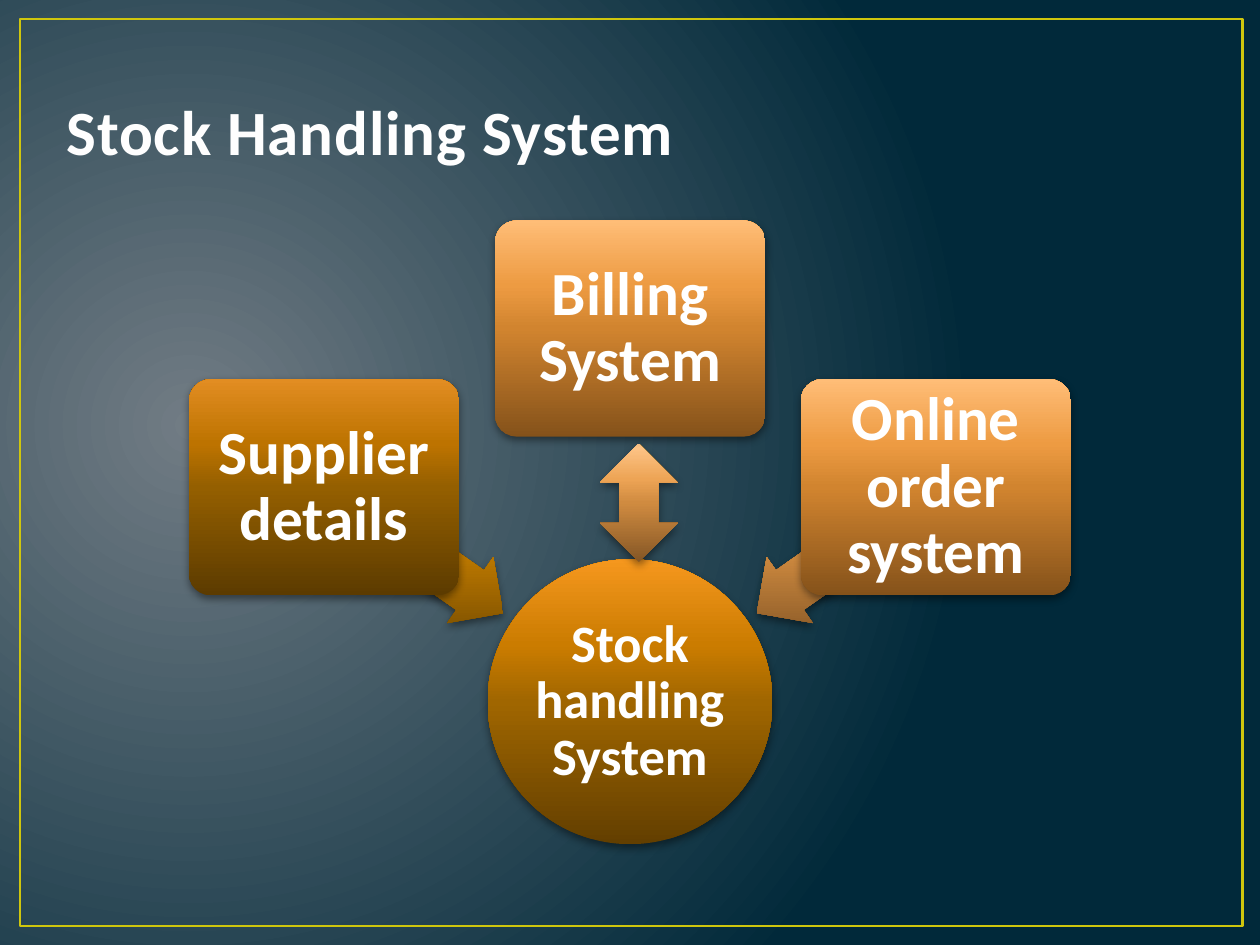
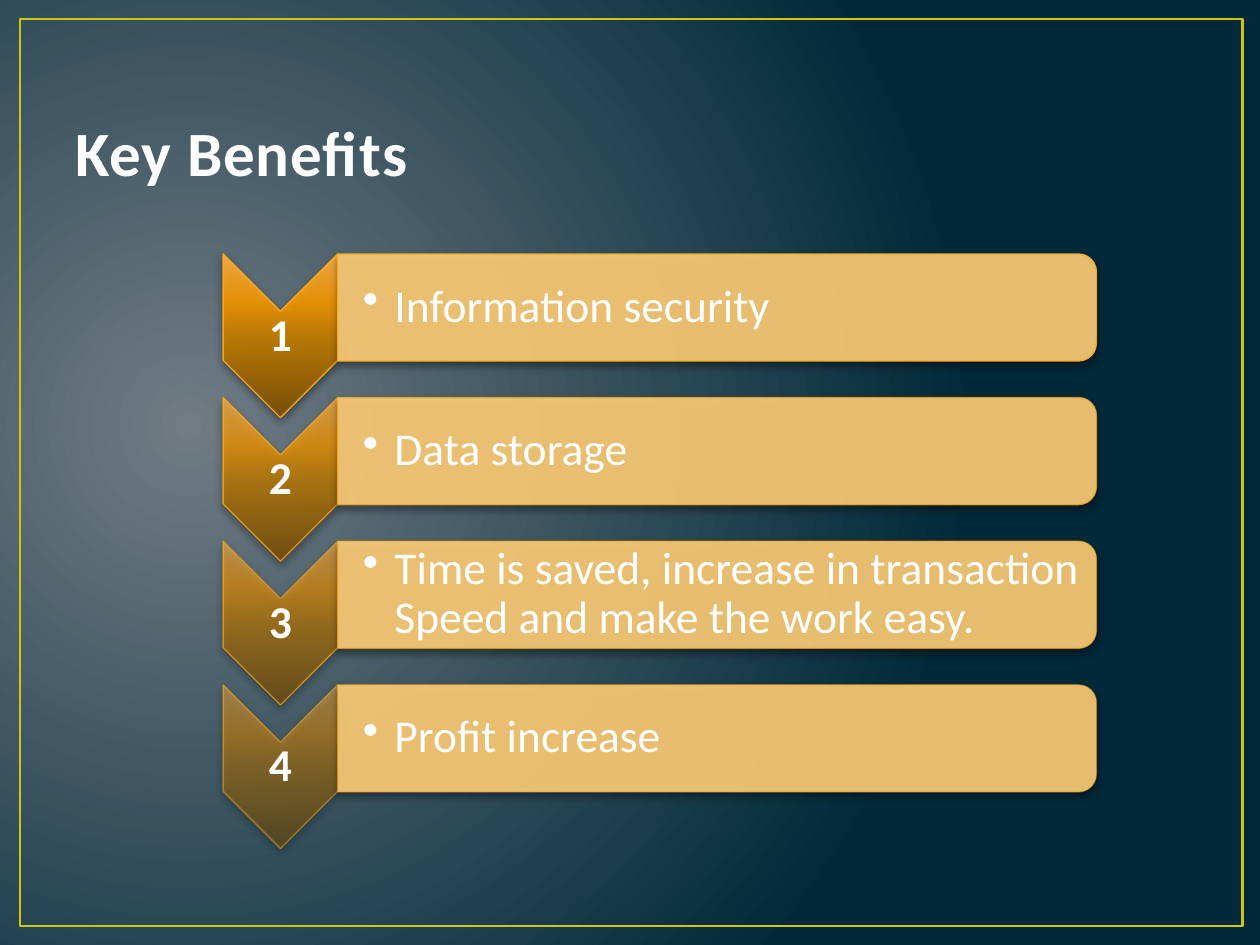
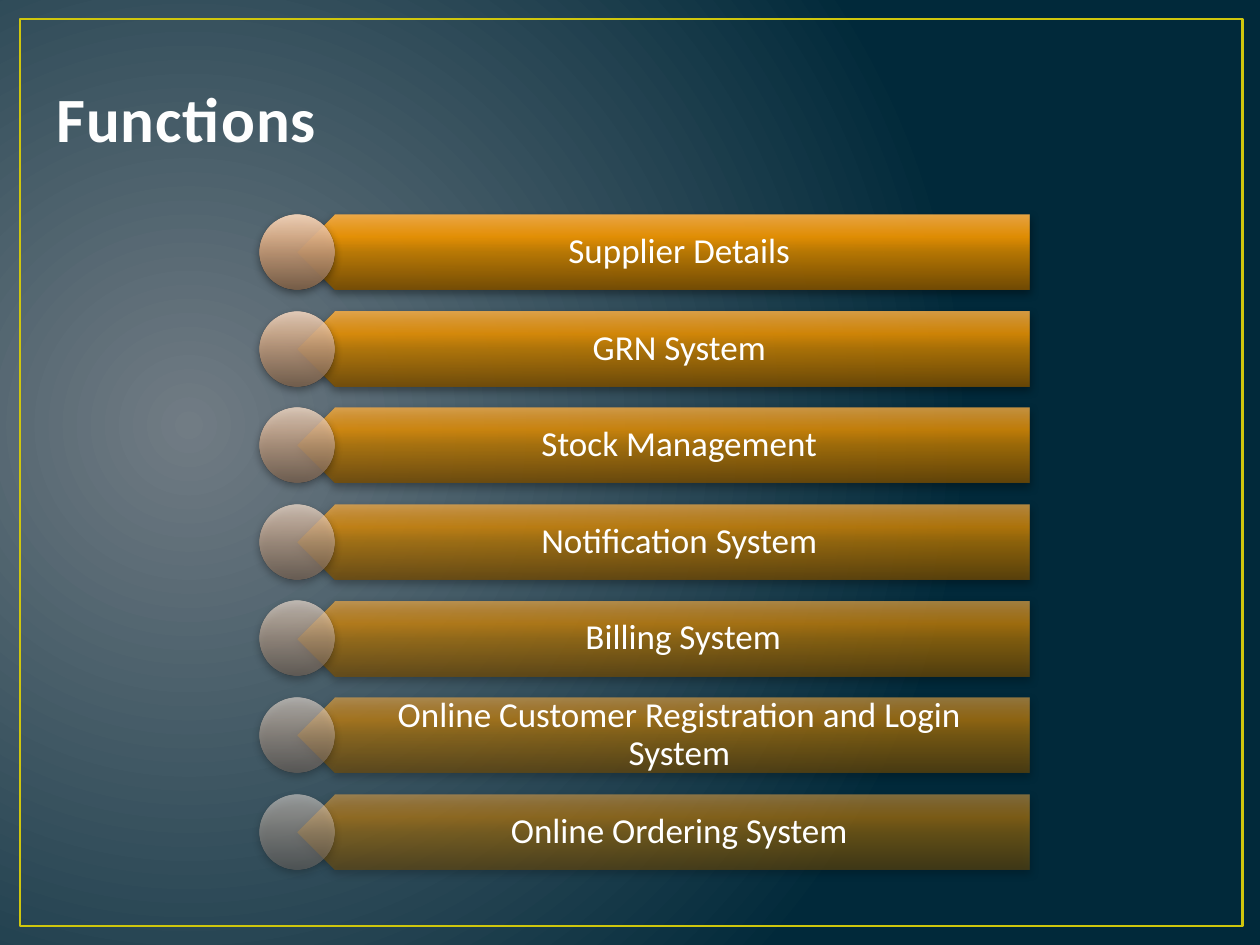
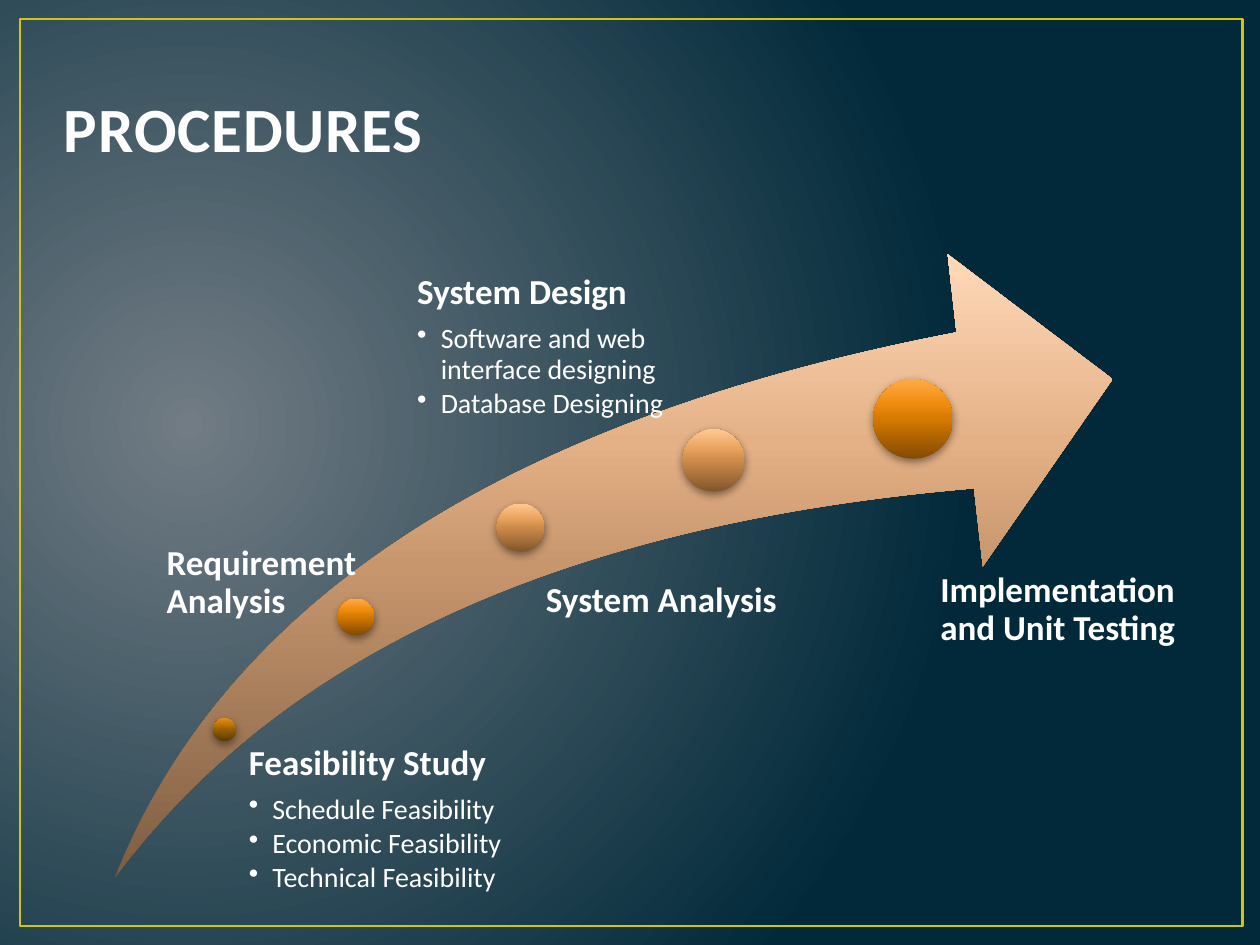
from lxml import etree
from pptx import Presentation
from pptx.dml.color import RGBColor
from pptx.enum import shapes, text
from pptx.oxml import ns
from pptx.util import Pt

FONT = "Calibri"
WHITE = RGBColor(0xFF, 0xFF, 0xFF)
TITLE_WHITE = RGBColor(0xFE, 0xFE, 0xFE)
FRAME_YELLOW = RGBColor(0xCF, 0xC6, 0x0D)
BAR_SAND = RGBColor(0xFF, 0xCE, 0x77)
EDGE_ORANGE = RGBColor(0xFF, 0xAD, 0x1C)
BLACK = RGBColor(0, 0, 0)


def palette(*codes):
    return [RGBColor.from_string(code) for code in codes]


NIGHT = palette("717C84", "01293A")
AMBER = palette("633F00", "A06600", "CB7C00", "F5971E")
BROWN = palette("5C3B00", "945F00", "BD7300", "E28D22")
COPPER = palette("85521A", "D1842F", "ED9B42", "FFBD77")
AMBER_ARROW = palette("764C00", "BF7A00", "ED9200", "FFAC3B")
COPPER_ARROW = palette("845625", "D08B40", "EDA455", "FFC78C")
ORANGE = palette("7C4F00", "C88000", "F79900", "FFB246")
FIRST_BEAD = palette("7B5F47", "C49975", "E2B58F", "FFDDC1")
LAST_BEAD = palette("746962", "BAAA9E", "D9C8BB", "FFF2E9")
SWOOSH = palette("7D5D42", "C7966D", "E4B186", "FFD9B9")
BRIGHT_DOT = palette("844B00", "D57900", "F08D0F", "FFAA48")
PALE_DOT = palette("81562B", "CD8B49", "E9A45F", "FFC892")

TITLES = [
    ("Stock Handling System", 31, 9.4),
    ("Key Benefits", 36, 21.6),
    ("Functions", 25.2, 2.2),
    ("PROCEDURES", 29.5, 7.9),
]

ARROWS = shapes.MSO_SHAPE
SYSTEM_NODES = [
    ("Supplier details", (108, 216.7), BROWN,
     ARROWS.LEFT_ARROW, (174.2, 291.6, 124.6, 46.1), 215, (0.6, 0.5), AMBER_ARROW),
    ("Billing System", (282.9, 126), COPPER,
     ARROWS.LEFT_RIGHT_ARROW, (331.2, 265, 67.7, 44.6), 270, (0.5, 0.5), COPPER_ARROW),
    ("Online order system", (457.6, 216.7), COPPER,
     ARROWS.LEFT_ARROW, (421.2, 291.6, 124.6, 46.1), 325, (0.6, 0.5), COPPER_ARROW),
]

BENEFITS = [
    "Information security",
    "Data storage",
    "Time is saved, increase in transaction Speed and make the work easy.",
    "Profit increase",
]

FUNCTIONS = [
    "Supplier Details",
    "GRN System",
    "Stock Management",
    "Notification System",
    " Billing System",
    "Online Customer Registration and Login System",
    "Online Ordering System",
]

STAGES = [
    ("Feasibility Study",
     ["Schedule Feasibility", "Economic Feasibility", "Technical Feasibility"],
     (121.7, 410.4, 13), BROWN, (135.2, 425.6, 186, 34.6), 7),
    ("Requirement Analysis", [],
     (193, 342, 20.9), BRIGHT_DOT, (84.2, 311.8, 144, 41.8), 11),
    ("System Analysis", [],
     (283.7, 287.8, 27.4), PALE_DOT, (297.4, 332.6, 188.6, 26.6), 14.5),
    ("System Design",
     ["Software and web interface designing", "Database Designing"],
     (390, 245.3, 35.6), PALE_DOT, (219.6, 157, 180.7, 113), 18.8),
    ("Implementation and Unit Testing", [],
     (499, 216.7, 45.4), BRIGHT_DOT, (513.4, 326.9, 185.8, 105.1), 23.9),
]


def add_xml(parent, tag, **attributes):
    element = etree.SubElement(parent, ns.qn(tag))
    for name, value in attributes.items():
        element.set(name, str(value))
    return element


def add_color(parent, color, opacity=100):
    element = add_xml(parent, "a:srgbClr", val=color)
    if opacity < 100:
        add_xml(element, "a:alpha", val=round(opacity * 1000))


def fill_stops(gradient, positions, colors, opacity=100):
    for child in list(gradient):
        gradient.remove(child)
    gradient.set("rotWithShape", "0")
    stops = add_xml(gradient, "a:gsLst")
    for position, color in zip(positions, colors):
        add_color(add_xml(stops, "a:gs", pos=position * 1000), color, opacity)


def fill_gloss(shape, colors, opacity=100):
    shape.fill.gradient()
    gradient = shape.element.spPr.find(ns.qn("a:gradFill"))
    fill_stops(gradient, (0, 50, 70, 100), colors, opacity)
    add_xml(gradient, "a:lin", ang=270 * 60000, scaled=0)


def set_opacity(properties, opacity):
    color = properties.find(ns.qn("a:solidFill")).find(ns.qn("a:srgbClr"))
    add_xml(color, "a:alpha", val=round(opacity * 1000))


def set_edge(shape, opacity):
    shape.line.color.rgb = EDGE_ORANGE
    shape.line.width = Pt(0.75)
    set_opacity(shape.element.spPr.find(ns.qn("a:ln")), opacity)


def add_shape(slide, kind, box, colors=None, opacity=100, rotation=0, adjustments=(), shadow=True):
    shape = slide.shapes.add_shape(kind, *map(Pt, box))
    shape.rotation = rotation
    for index, value in enumerate(adjustments):
        shape.adjustments[index] = value
    shape.line.fill.background()
    shape.shadow.inherit = False
    if colors:
        fill_gloss(shape, colors, opacity)
    if shadow:
        effects = shape.element.spPr.find(ns.qn("a:effectLst"))
        outer = add_xml(effects, "a:outerShdw", blurRad=Pt(5), dist=Pt(2),
                        dir=90 * 60000, rotWithShape=0)
        add_color(outer, BLACK, 43)
    return shape


def prepare_frame(shape, margins, anchor):
    frame = shape.text_frame
    frame.word_wrap = True
    frame.vertical_anchor = anchor
    frame.margin_left, frame.margin_top, frame.margin_right, frame.margin_bottom = map(Pt, margins)
    return frame


def style(paragraph, words, size, bold=False, align=text.PP_ALIGN.LEFT, color=WHITE,
          spacing=0.9, after=0, indent=0):
    paragraph.text = words
    paragraph.alignment = align
    paragraph.line_spacing = spacing
    paragraph.space_after = Pt(after)
    if indent:
        properties = paragraph.line_spacing and paragraph._p.get_or_add_pPr()
        properties.set("marL", str(Pt(indent)))
        properties.set("indent", str(-Pt(indent)))
        add_xml(properties, "a:buChar", char="•")
    paragraph.font.name = FONT
    paragraph.font.size = Pt(size)
    paragraph.font.bold = bold
    paragraph.font.color.rgb = color


def write(shape, words, size, margins, anchor=text.MSO_ANCHOR.MIDDLE, **options):
    frame = prepare_frame(shape, margins, anchor)
    style(frame.paragraphs[0], words, size, **options)
    return frame


def add_text(slide, box, words, size, margins, **options):
    return write(slide.shapes.add_textbox(*map(Pt, box)), words, size, margins, **options)


def quarter_turned(left, top, width, height):
    shift = (width - height) / 2
    return left + shift, top - shift, height, width


def fade(index, count):
    return index / (count - 1)


def blend(first, last, share):
    return [RGBColor(*(round(a + (b - a) * share) for a, b in zip(start, end)))
            for start, end in zip(first, last)]


def decorate_master(presentation, slide):
    master = presentation.slide_master
    master.background.fill.gradient()
    gradient = next(master.element.iter(ns.qn("a:gradFill")))
    fill_stops(gradient, (0, 100), NIGHT)
    circle = add_xml(gradient, "a:path", path="circle")
    add_xml(circle, "a:fillToRect", l=15000, t=50000, r=85000, b=60000)
    border = add_shape(slide, shapes.MSO_SHAPE.RECTANGLE, (11.5, 10.8, 698.4, 518.4), shadow=False)
    border.fill.background()
    border.line.color.rgb = FRAME_YELLOW
    border.line.width = Pt(1.5)
    next(border.element.iter(ns.qn("p:cNvPr"))).set("id", "50")
    master.element.cSld.spTree.append(border.element)


def add_title(slide, words, left, top):
    frame = add_text(slide, (left, top, 648, 90), words, 36, (7.2, 3.6, 7.2, 3.6),
                     anchor=text.MSO_ANCHOR.BOTTOM, bold=True, color=TITLE_WHITE, spacing=1.0)
    run = frame.paragraphs[0].runs[0]
    run._r.get_or_add_rPr().set("spc", "50")


def build_system(slide):
    centered = {"bold": True, "align": text.PP_ALIGN.CENTER}
    hub = add_shape(slide, shapes.MSO_SHAPE.OVAL, (278.6, 319.6, 162.8, 162.8), AMBER)
    write(hub, "Stock handling System", 30, (1.5,) * 4, **centered)
    for words, corner, colors, arrow, arrow_box, rotation, adjustments, arrow_colors in SYSTEM_NODES:
        add_shape(slide, arrow, arrow_box, arrow_colors, rotation=rotation, adjustments=adjustments)
        node = add_shape(slide, shapes.MSO_SHAPE.ROUNDED_RECTANGLE, (*corner, 154.4, 123.5),
                         colors, adjustments=(0.1,))
        write(node, words, 35, (5,) * 4, **centered)


def build_benefits(slide):
    for index, words in enumerate(BENEFITS):
        top = 145.1 + 82.08 * index
        opacity = 90 - 40 * fade(index, len(BENEFITS))
        chevron = add_shape(slide, shapes.MSO_SHAPE.CHEVRON,
                            quarter_turned(127.5, top, 65.5, 93.6), ORANGE, opacity, 90)
        set_edge(chevron, opacity)
        add_text(slide, (127.5, top + 33, 65.5, 28.1), str(index + 1), 26, (1.5,) * 4,
                 bold=True, align=text.PP_ALIGN.CENTER)
        bar = add_shape(slide, shapes.MSO_SHAPE.ROUND_2_SAME_RECTANGLE,
                        quarter_turned(193, top, 433.5, 61.2), rotation=90)
        bar.fill.solid()
        bar.fill.fore_color.rgb = BAR_SAND
        set_opacity(bar.element.spPr, 90)
        set_edge(bar, opacity)
        add_text(slide, (193, top + 3.2, 430.6, 54.7), words, 26, (14.4, 1.5, 1.5, 1.5), indent=18)


def build_functions(slide):
    height = 42.8
    for index, words in enumerate(FUNCTIONS):
        top = 122.7 + 55.2 * index
        share = fade(index, len(FUNCTIONS))
        opacity = 90 - 40 * share
        add_shape(slide, shapes.MSO_SHAPE.PENTAGON, (170, top, 418.4, height), ORANGE, opacity, 180)
        add_text(slide, (180.7, top, 407.7, height), words, 20, (18.7, 5.8, 11.5, 5.8),
                 align=text.PP_ALIGN.CENTER)
        add_shape(slide, shapes.MSO_SHAPE.OVAL, (148.4, top, height, height),
                  blend(FIRST_BEAD, LAST_BEAD, share), opacity)


def build_procedures(slide):
    add_shape(slide, shapes.MSO_SHAPE.SWOOSH_ARROW, (65.5, 145.4, 570.2, 356.4), SWOOSH,
              adjustments=(0.25, 0.25), shadow=False)
    for heading, points, (left, top, size), colors, box, margin in STAGES:
        add_shape(slide, shapes.MSO_SHAPE.OVAL, (left, top, size, size), colors)
        frame = add_text(slide, box, heading, 20, (margin, 0, 0, 0),
                         anchor=text.MSO_ANCHOR.TOP, bold=True, after=7)
        for point in points:
            style(frame.add_paragraph(), point, 16, after=2.4, indent=13.5)


presentation = Presentation()
presentation.slide_width, presentation.slide_height = Pt(720), Pt(540)
builders = [build_system, build_benefits, build_functions, build_procedures]
for number, (title, build) in enumerate(zip(TITLES, builders)):
    slide = presentation.slides.add_slide(presentation.slide_layouts[6])
    if number == 0:
        decorate_master(presentation, slide)
    add_title(slide, *title)
    build(slide)
presentation.save("out.pptx")
